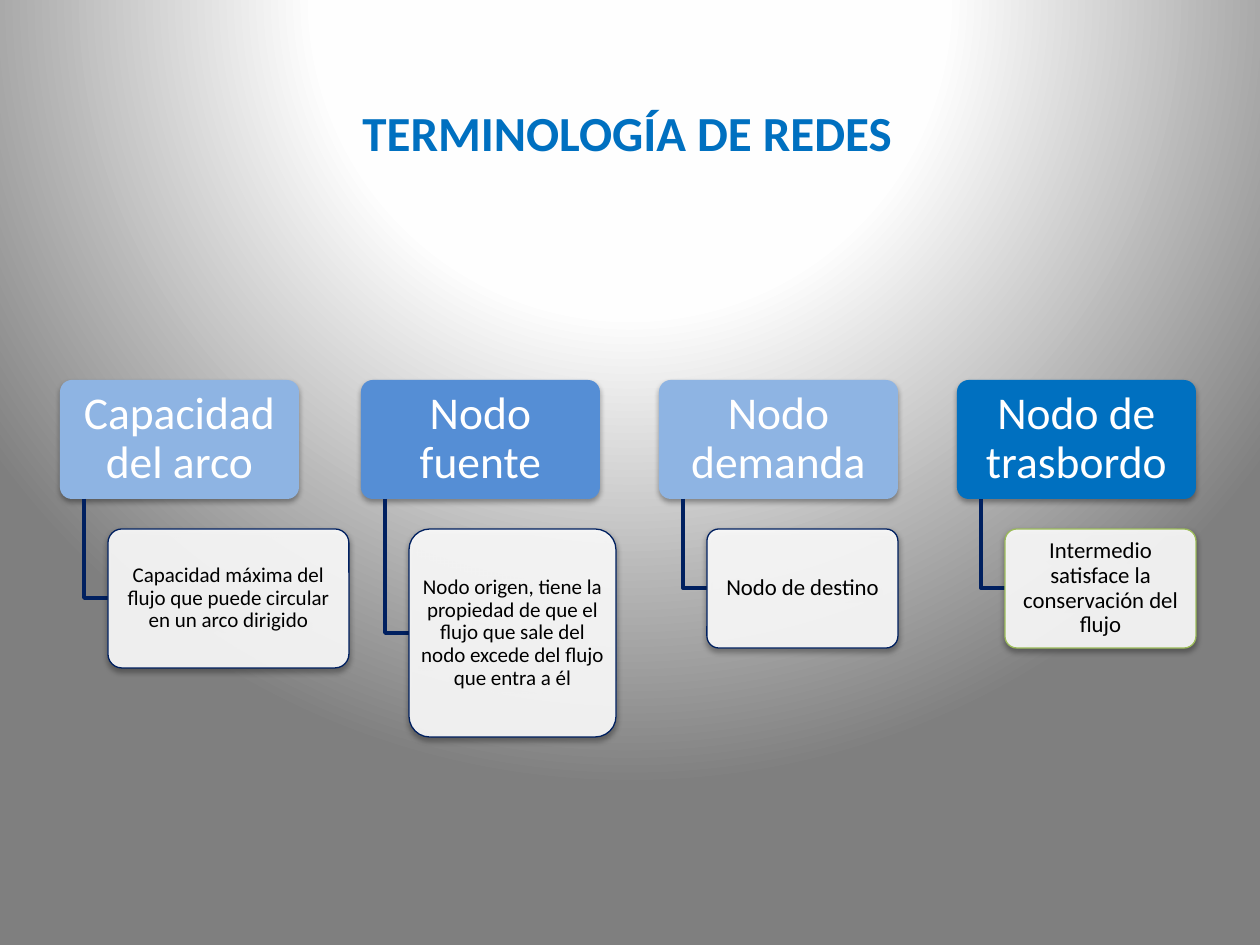
from lxml.etree import SubElement
from pptx import Presentation
from pptx.dml.color import RGBColor
from pptx.enum.shapes import MSO_SHAPE as Shape
from pptx.enum.text import MSO_ANCHOR as Anchor, PP_ALIGN as Align
from pptx.oxml import parse_xml
from pptx.oxml.ns import nsdecls, qn
from pptx.util import Pt

PX = 914400 / 126
FONT = "Calibri"
WHITE = RGBColor(0xFF, 0xFF, 0xFF)
BLACK = RGBColor(0x00, 0x00, 0x00)
NAVY = RGBColor(0x00, 0x20, 0x60)
BLUE = RGBColor(0x00, 0x70, 0xC0)
MID = RGBColor(0x55, 0x8E, 0xD5)
LIGHT = RGBColor(0x8E, 0xB4, 0xE3)
GREEN = RGBColor(0x9B, 0xBB, 0x59)


def px(n):
    return round(n * PX)


def add_card(x, y, w, h, text, size, color, fill, line, pad):
    card = slide.shapes.add_shape(Shape.ROUNDED_RECTANGLE, px(x), px(y), px(w), px(h))
    card.adjustments[0] = 0.1
    card.fill.solid()
    card.fill.fore_color.rgb = fill
    if line is None:
        card.line.fill.background()
    else:
        card.line.color.rgb = line
        card.line.width = Pt(0.75)
    # Soft shadow straight below
    card.shadow.inherit = False
    glow = SubElement(card._element.spPr.find(qn("a:effectLst")), qn("a:outerShdw"),
                      blurRad="40000", dist="23000", dir="5400000", rotWithShape="0")
    tint = SubElement(glow, qn("a:srgbClr"), val="000000")
    SubElement(tint, qn("a:alpha"), val="35000")
    frame = card.text_frame
    frame.word_wrap = True
    frame.vertical_anchor = Anchor.MIDDLE
    frame.margin_left = frame.margin_right = px(pad)
    frame.margin_top = frame.margin_bottom = px(pad - 1)
    para = frame.paragraphs[0]
    para.text = text
    para.alignment = Align.CENTER
    para.line_spacing = 0.9
    para.font.name = FONT
    para.font.size = Pt(size)
    para.font.color.rgb = color
    return card


prs = Presentation()
prs.slide_width, prs.slide_height = px(1260), px(945)
slide = prs.slides.add_slide(prs.slide_layouts[5])

# Background: round gradient centred above the slide
slide._element.cSld.insert(0, parse_xml(
    f'<p:bg {nsdecls("p", "a")}><p:bgPr><a:gradFill rotWithShape="1"><a:gsLst>'
    '<a:gs pos="0"><a:srgbClr val="FFFFFF"/></a:gs>'
    '<a:gs pos="40000"><a:srgbClr val="FEFEFE"/></a:gs>'
    '<a:gs pos="100000"><a:srgbClr val="7F7F7F"/></a:gs></a:gsLst>'
    '<a:path path="circle"><a:fillToRect l="50000" t="-80000" r="50000" b="180000"/>'
    '</a:path></a:gradFill><a:effectLst/></p:bgPr></p:bg>'))

# Title
title = slide.shapes.title
title.left, title.top, title.width, title.height = px(171), px(96), px(912), px(72)
title.text_frame.vertical_anchor = Anchor.TOP
para = title.text_frame.paragraphs[0]
para.text = "TERMINOLOGÍA DE REDES"
para.alignment = Align.CENTER
para.font.name = FONT
para.font.size = Pt(28)
para.font.bold = True
para.font.color.rgb = BLUE

# Terms: left, head, fill, note, note width, note height, size, note line
TERMS = [
    (60, "Capacidad del arco", LIGHT,
     "Capacidad máxima del flujo que puede circular en un arco dirigido",
     241, 139, 12, NAVY),
    (361, "Nodo fuente", MID,
     "Nodo origen, tiene la propiedad de que el flujo que sale del nodo "
     "excede del flujo que entra a él", 207, 208, 12, NAVY),
    (659, "Nodo demanda", LIGHT, "Nodo de destino", 191, 119, 13, NAVY),
    (957, "Nodo de trasbordo", BLUE,
     "Intermedio satisface la conservación del flujo", 191, 119, 13, GREEN),
]
TOP, WIDE, HIGH = 380, 239, 119
NOTE, STEP = 529, 24

for x, head, fill, note, w, h, size, line in TERMS:
    add_card(x, TOP, WIDE, HIGH, head, 26, WHITE, fill, None, 6)

    # Elbow from head to note
    mid = NOTE + h / 2
    pen = slide.shapes.build_freeform(x + STEP, TOP + HIGH, scale=PX)
    pen.add_line_segments([(x + STEP, mid), (x + 2 * STEP, mid)], close=False)
    elbow = pen.convert_to_shape()
    elbow.fill.background()
    elbow.line.color.rgb = NAVY
    elbow.line.width = Pt(2)
    elbow.shadow.inherit = False

    card = add_card(x + 2 * STEP, NOTE, w, h, note, size, BLACK, WHITE, line, 4)
    tint = card._element.spPr.find(qn("a:solidFill"))[0]
    SubElement(tint, qn("a:alpha"), val="90000")

prs.save("out.pptx")
